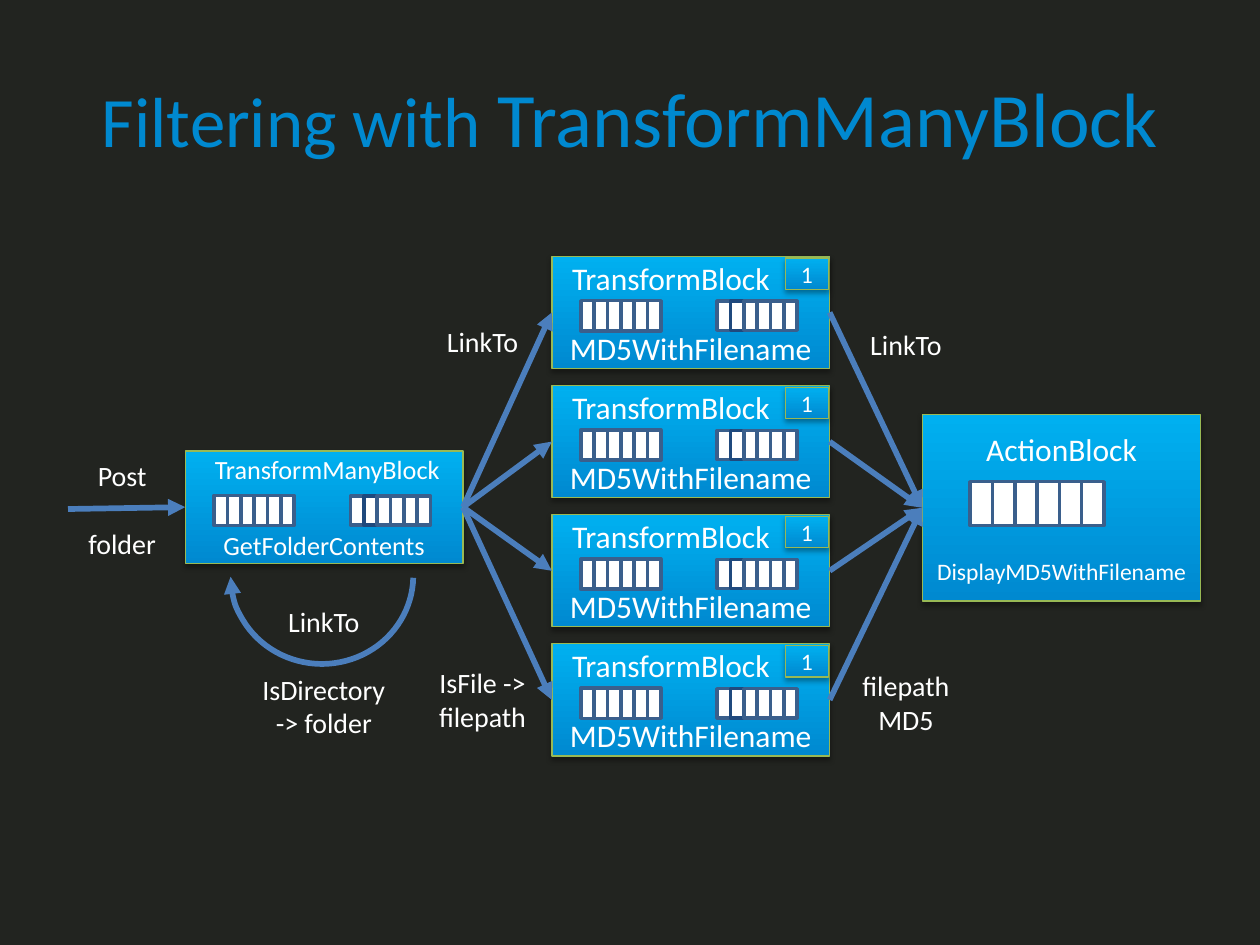
from dataclasses import dataclass

from lxml import etree
from pptx import Presentation
from pptx.dml.color import RGBColor
from pptx.enum.shapes import MSO_CONNECTOR, MSO_SHAPE
from pptx.enum.text import MSO_ANCHOR, PP_ALIGN
from pptx.oxml.ns import qn
from pptx.util import Inches, Pt

RECTANGLE, ARC = MSO_SHAPE.RECTANGLE, MSO_SHAPE.ARC
STRAIGHT = MSO_CONNECTOR.STRAIGHT
TOP, MIDDLE = MSO_ANCHOR.TOP, MSO_ANCHOR.MIDDLE
LEFT, CENTER = PP_ALIGN.LEFT, PP_ALIGN.CENTER
LEFT_SIDE, RIGHT_SIDE = 1, 3
COLUMNS, ROWS = 1000, 750
UNIT = Inches(10) // COLUMNS


@dataclass(frozen=True)
class Theme:
    """Colours, type sizes and line widths of the slide."""
    font: str = "Calibri"
    background: str = "222420"
    accent: str = "0089D0"
    accent_light: str = "00B0F0"
    panel_line: str = "98B955"
    cell_line: str = "3A5F8C"
    cell_line_dark: str = "1F497D"
    arrow: str = "4B7EBC"
    white: str = "FFFFFF"
    title: float = 40.5
    title_large: float = 44
    heading: float = 18
    label: float = 16
    caption: float = 15
    small: float = 13.5
    line_height: float = 1.22
    panel_width: float = 0.75
    cell_width: float = 2
    arrow_width: float = 3.25


@dataclass(frozen=True)
class Box:
    """A rectangle in grid columns and rows."""
    left: float
    top: float
    width: float
    height: float

    def share(self, left, top, width, height):
        """Return an inner box given in percent of this one."""
        return Box(self.left + self.width * left / 100, self.top + self.height * top / 100,
                   self.width * width / 100, self.height * height / 100)

    def cell(self, left, top, width, height):
        """Return an inner box given in columns and rows from this one's corner."""
        return Box(self.left + left, self.top + top, width, height)

    def place(self):
        """Return position and size as slide lengths."""
        return [round(value * UNIT) for value in (self.left, self.top, self.width, self.height)]


@dataclass(frozen=True)
class Line:
    """One line of text; gap is the point size of the empty space above it."""
    text: str
    size: float
    gap: float = 0
    align: PP_ALIGN = CENTER
    indent: int = 0


THEME = Theme()


def colour(value):
    """Return a colour from its hexadecimal form."""
    return RGBColor.from_string(value)


def format_run(run, size, value):
    """Give a run its font, size and colour."""
    run.font.name, run.font.size = THEME.font, Pt(size)
    run.font.color.rgb = colour(value)


def write_lines(shape, lines, anchor, margin_top=0):
    """Write formatted lines into a shape."""
    frame = shape.text_frame
    frame.word_wrap, frame.vertical_anchor = True, anchor
    frame.margin_left = frame.margin_right = frame.margin_bottom = 0
    frame.margin_top = margin_top * UNIT
    frame.text = "\n".join(line.text for line in lines)
    for paragraph, line in zip(frame.paragraphs, lines):
        paragraph.alignment = line.align
        if line.indent:
            paragraph._p.get_or_add_pPr().set("marL", str(line.indent * UNIT))
        if line.gap:
            paragraph.space_before = Pt(round(line.gap * THEME.line_height, 1))
        format_run(paragraph.runs[0], line.size, THEME.white)


def add_label(slide, box, lines):
    """Place free text at the top of the box."""
    write_lines(slide.shapes.add_textbox(*box.place()), lines, TOP, margin_top=5)


def add_title(slide, box):
    """Place the two-size title in the box."""
    frame = slide.shapes.add_textbox(*box.place()).text_frame
    frame.word_wrap, frame.vertical_anchor = True, MIDDLE
    paragraph = frame.paragraphs[0]
    paragraph.alignment = CENTER
    for text, size in (("Filtering with ", THEME.title), ("TransformManyBlock", THEME.title_large)):
        run = paragraph.add_run()
        run.text = text
        format_run(run, size, THEME.accent)


def add_shadow(shape):
    """Give a shape a soft shadow below it."""
    effects = etree.SubElement(shape._element.spPr, qn("a:effectLst"))
    shadow = etree.SubElement(effects, qn("a:outerShdw"), blurRad=str(Pt(3.1)), dist=str(Pt(1.8)),
                              dir="5400000", rotWithShape="0")
    shade = etree.SubElement(shadow, qn("a:srgbClr"), val="000000")
    etree.SubElement(shade, qn("a:alpha"), val="35000")


def add_panel(slide, box, lines):
    """Draw a gradient rectangle with centred text."""
    panel = slide.shapes.add_shape(RECTANGLE, *box.place())
    panel.fill.gradient()
    panel.fill.gradient_angle = 90
    for stop, value in zip(panel.fill.gradient_stops, (THEME.accent, THEME.accent_light)):
        stop.color.rgb = colour(value)
    panel.line.color.rgb, panel.line.width = colour(THEME.panel_line), Pt(THEME.panel_width)
    add_shadow(panel)
    write_lines(panel, lines, MIDDLE)
    return panel


def add_queue(slide, box, dark_cell=None, cells=6):
    """Fill the box with a row of equal queue cells."""
    width = 100 / cells
    for index in range(cells):
        cell = slide.shapes.add_shape(RECTANGLE, *box.share(index * width, 0, width, 100).place())
        cell.shadow.inherit = False
        cell.fill.solid()
        cell.fill.fore_color.rgb = colour(THEME.white)
        line = THEME.cell_line_dark if index == dark_cell else THEME.cell_line
        cell.line.color.rgb, cell.line.width = colour(line), Pt(THEME.cell_width)


def add_transform(slide, box, lines):
    """Draw a block with an input queue and an output queue."""
    panel = add_panel(slide, box, lines)
    add_queue(slide, box.share(10.4, 39.5, 28.8, 27))
    add_queue(slide, box.share(59.5, 40, 28.8, 26), dark_cell=1)
    return panel


def add_hash_block(slide, box):
    """Draw a hashing block with its parallelism badge."""
    panel = add_transform(slide, box, [
        Line("TransformBlock", THEME.heading, align=LEFT, indent=16),
        Line("MD5WithFilename", THEME.heading, gap=15)])
    add_panel(slide, box.share(84, 1.5, 15.5, 28), [Line("1", THEME.small)])
    return panel


def add_action_block(slide, box):
    """Draw the final block with its single queue."""
    panel = add_panel(slide, box, [Line("ActionBlock", THEME.heading),
                                   Line("DisplayMD5WithFilename", THEME.small, gap=42)])
    add_queue(slide, box.share(17.2, 36, 48, 23.6))
    return panel


def style_arrow(shape):
    """Give a line or arc its stroke and arrowhead."""
    shape.line.color.rgb, shape.line.width = colour(THEME.arrow), Pt(THEME.arrow_width)
    etree.SubElement(shape.line._get_or_add_ln(), qn("a:tailEnd"), type="triangle")
    etree.SubElement(shape._element.spPr, qn("a:effectLst"))


def add_arrow(slide, target, box, source=None):
    """Draw an arrow into the target from a source shape or the box's corner."""
    left, top = box.place()[:2]
    arrow = slide.shapes.add_connector(STRAIGHT, left, top, left, top)
    if source is not None:
        arrow.begin_connect(source, RIGHT_SIDE)
    arrow.end_connect(target, LEFT_SIDE)
    style_arrow(arrow)


def add_loop(slide, box):
    """Draw the arc that leads folders back to their block."""
    arc = slide.shapes.add_shape(ARC, *box.place())
    arc.adjustments[0], arc.adjustments[1] = 0.76, 107.61
    arc.fill.background()
    style_arrow(arc)


def add_flow(slide, box):
    """Draw the whole pipeline in the box from left to right."""
    label = THEME.label
    action = add_action_block(slide, box.cell(732, 329, 221, 148))
    hashes = [add_hash_block(slide, box.cell(438, 203.5 + 102.5 * row, 220.5, 89))
              for row in range(4)]
    folders = add_transform(slide, box.cell(147, 358, 220.5, 89), [
        Line("TransformManyBlock", THEME.caption, indent=5),
        Line("GetFolderContents", THEME.caption, gap=21)])
    for block in hashes:
        add_arrow(slide, block, box, source=folders)
        add_arrow(slide, action, box, source=block)
    add_arrow(slide, folders, box.cell(54, 404, 0, 0))
    add_loop(slide, box.cell(183, 387, 145, 140))
    add_label(slide, box.cell(60, 359, 74, 91),
              [Line("Post", label), Line("folder", label, gap=label)])
    add_label(slide, box.cell(193, 475, 128, 118), [
        Line("LinkTo", label), Line("IsDirectory", label, gap=label), Line("-> folder", label)])
    for left, top, first, second in ((338, 253, "IsFile ->", "filepath"),
                                     (674, 255, "filepath", "MD5")):
        add_label(slide, box.cell(left, top, 90, 333), [
            Line("LinkTo", label), Line(first, label, gap=9 * label), Line(second, label)])


def main():
    """Build and save the slide."""
    presentation = Presentation()
    presentation.slide_width, presentation.slide_height = COLUMNS * UNIT, ROWS * UNIT
    slide = presentation.slides.add_slide(presentation.slide_layouts[6])
    slide.background.fill.solid()
    slide.background.fill.fore_color.rgb = colour(THEME.background)
    page = Box(0, 0, COLUMNS, ROWS)
    add_title(slide, page.share(5, 4, 90, 16.67))
    add_flow(slide, page)
    presentation.save("out.pptx")


if __name__ == "__main__":
    main()
